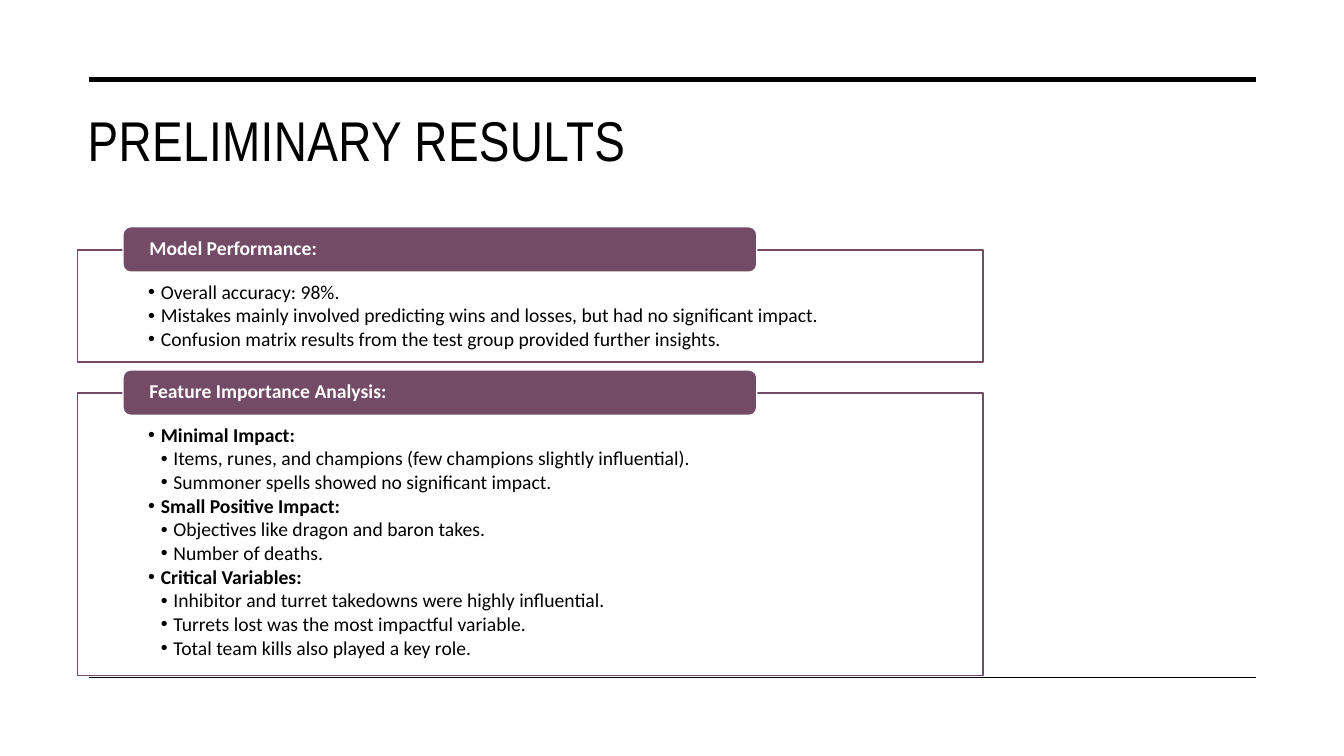
from lxml.etree import SubElement
from pptx import Presentation
from pptx.dml.color import RGBColor
from pptx.enum.shapes import MSO_CONNECTOR, MSO_SHAPE
from pptx.enum.text import MSO_ANCHOR, MSO_AUTO_SIZE, PP_ALIGN
from pptx.oxml.ns import qn
from pptx.util import Pt

PX = 9144  # 100 px to the inch
PLUM, BLACK, WHITE = "734B67", "000000", "FFFFFF"
LEFT, WIDTH = 77, 898
RULE_X, RULE_END = 88, 1246

# Each item: indent step, text
PANELS = [
    (248, 111, "Model Performance:", [
        (1, "Overall accuracy: 98%."),
        (1, "Mistakes mainly involved predicting wins and losses, but had no significant impact."),
        (1, "Confusion matrix results from the test group provided further insights."),
    ]),
    (390, 280, "Feature Importance Analysis:", [
        (1, "Minimal Impact:"),
        (2, "Items, runes, and champions (few champions slightly influential)."),
        (2, "Summoner spells showed no significant impact."),
        (1, "Small Positive Impact:"),
        (2, "Objectives like dragon and baron takes."),
        (2, "Number of deaths."),
        (1, "Critical Variables:"),
        (2, "Inhibitor and turret takedowns were highly influential."),
        (2, "Turrets lost was the most impactful variable."),
        (2, "Total team kills also played a key role."),
    ]),
]


def px(n):
    return round(n * PX)


def paint(color, code):
    color.rgb = RGBColor.from_string(code)


def place(shape, x, y, w, h):
    shape.left, shape.top, shape.width, shape.height = map(px, (x, y, w, h))


def coat(shape, fill, line):
    shape.fill.solid()
    paint(shape.fill.fore_color, fill)
    paint(shape.line.color, line)
    shape.line.width = Pt(1)


def frame(shape, anchor, left, top, right, low):
    """Set the insets and anchor of a shape's text and return its frame."""
    text = shape.text_frame
    text.word_wrap = True
    text.auto_size = MSO_AUTO_SIZE.NONE
    text.vertical_anchor = anchor
    text.margin_left, text.margin_top = px(left), px(top)
    text.margin_right, text.margin_bottom = px(right), px(low)
    return text


def style(para, font, size, code, bold=False):
    para.alignment = PP_ALIGN.LEFT
    para.line_spacing = 0.9
    para.space_before = Pt(0)
    for run in para.runs:
        run.font.name, run.font.size, run.font.bold = font, Pt(size), bold
        paint(run.font.color, code)


def rule(slide, y, weight):
    line = slide.shapes.add_connector(
        MSO_CONNECTOR.STRAIGHT, px(RULE_X), px(y), px(RULE_END), px(y))
    paint(line.line.color, BLACK)
    line.line.width = Pt(weight)
    SubElement(line._element.spPr, qn("a:effectLst"))


def head(slide, x, y, w, h):
    title = slide.shapes.title
    place(title, x, y, w, h)
    text = frame(title, MSO_ANCHOR.TOP, 10, 5, 10, 5)
    text.text = "PRELIMINARY RESULTS"
    para = text.paragraphs[0]
    style(para, "Arial Narrow", 40, BLACK)
    para.line_spacing = 1.0
    para.runs[0].font._element.set("spc", "30")


def bullet(para, step):
    para.level = step
    para.space_after = Pt(1.75)
    props = para._p.get_or_add_pPr()
    props.set("marL", str(px(12.5 * step)))
    props.set("indent", str(px(-12.5)))
    SubElement(props, qn("a:buChar"), char="•")


def panel(slide, body, box, label, items):
    """Fill a framed list and set its label tab across the top edge."""
    x, y, w, h = box
    place(body, *box)
    coat(body, WHITE, PLUM)
    tint = body.fill._xPr.find(qn("a:solidFill"))[0]
    SubElement(tint, qn("a:alpha"), val="90000")
    text = frame(body, MSO_ANCHOR.TOP, 70, 32, 70, 11)
    text.text = "\n".join(item for _, item in items)
    for para, (step, item) in zip(text.paragraphs, items):
        style(para, "Calibri", 14, BLACK, item.endswith(":"))
        bullet(para, step)

    tab = slide.shapes.add_shape(
        MSO_SHAPE.ROUNDED_RECTANGLE, px(x + 45), px(y - 23), px(w * 0.7), px(45))
    tab.shadow.inherit = False
    coat(tab, PLUM, WHITE)
    text = frame(tab, MSO_ANCHOR.MIDDLE, 24, 0, 24, 0)
    text.text = label
    style(text.paragraphs[0], "Calibri", 14, WHITE, True)


def main():
    deck = Presentation()
    deck.slide_width, deck.slide_height = px(1333), px(750)
    slide = deck.slides.add_slide(deck.slide_layouts[3])
    rule(slide, 79, 3.5)
    rule(slide, 672, 1)
    head(slide, LEFT, 100, 1169, 143)
    bodies = list(slide.placeholders)[1:]
    for body, (y, h, label, items) in zip(bodies, PANELS):
        panel(slide, body, (LEFT, y, WIDTH, h), label, items)
    deck.save("out.pptx")


if __name__ == "__main__":
    main()
